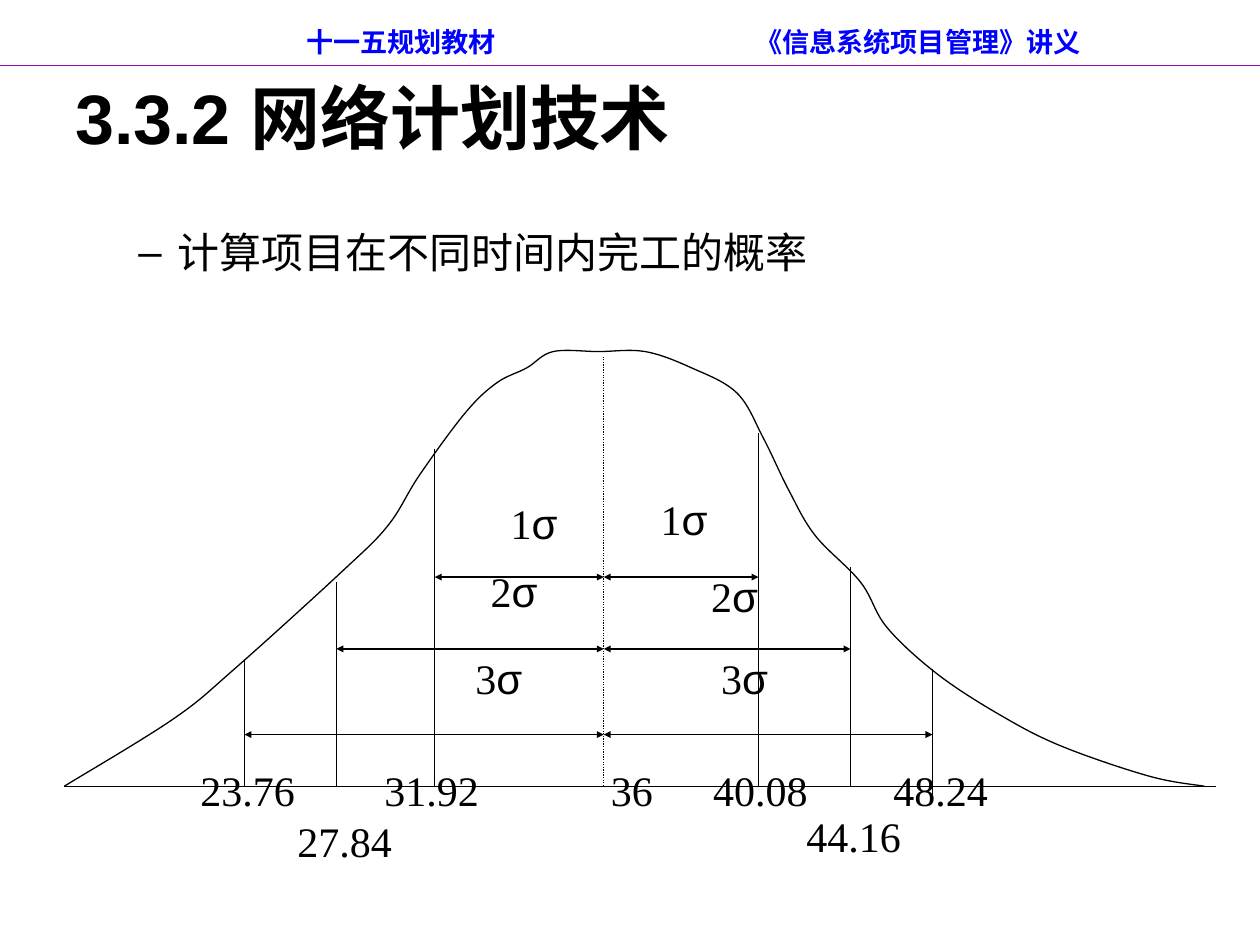
import itertools

import lxml.etree
import pptx
import pptx.dml.color
import pptx.enum.dml
import pptx.enum.text
import pptx.oxml.ns
import pptx.util

COLUMNS, ROWS = 100, 75
CELL = pptx.util.Inches(10) // COLUMNS
BLACK, BLUE, PURPLE = "000000", "0000FF", "9900CC"
LATIN, NUMERALS = "Arial", "Times New Roman"
MEAN, BASELINE = 47.92, 62.4
ALIGN = pptx.enum.text.PP_ALIGN
ANCHOR = pptx.enum.text.MSO_ANCHOR

BELL = [
    (5.1, 62.4), (13.7, 57.1), (18.6, 53.1), (27.1, 45.4), (30.8, 41.7),
    (33.3, 37.7), (36.9, 32.8), (39.4, 30.4), (41.8, 29.2), (43.9, 27.9),
    (47.5, 27.9), (51.2, 27.9), (54.9, 29.2), (58.5, 31.2), (60.6, 34.8),
    (62.6, 38.9), (64.7, 42.5), (68.3, 46.2), (70.4, 49.8), (74.4, 53.5),
    (79.3, 56.7), (84.2, 59.2), (91.2, 61.6), (95.6, 62.4),
]
LIMITS = [
    (34.5, 35.6, BASELINE), (26.7, 46.2, BASELINE), (19.4, 52.3, BASELINE),
    (60.2, 34.4, BASELINE), (67.5, 45, BASELINE), (74, 53.1, 63.2),
]
SPANS = [(45.8, 34.5, 60.2), (51.5, 26.7, 67.5), (58.3, 19.4, 74)]
SIGMA_LABELS = [
    ("1", 36.9, 39.2), ("1", 48.8, 38.9), ("2", 52.8, 45),
    ("3", 53.6, 51.5), ("2", 35.3, 44.6), ("3", 34.1, 51.5),
]
DAY_LABELS = [
    ("23.76", 12.9, 60.4), ("27.84", 20.6, 64.4), ("31.92", 27.5, 60.4),
    ("36", 43.4, 60.4), ("40.08", 53.6, 60.4), ("44.16", 61, 64),
    ("48.24", 67.9, 60.4),
]


def cells(count):
    return round(count * CELL)


def color(hex_value):
    return pptx.dml.color.RGBColor.from_string(hex_value)


def add_element(parent, tag, **attributes):
    return lxml.etree.SubElement(parent, pptx.oxml.ns.qn(tag), **attributes)


def style_line(line, hex_value):
    line.color.rgb = color(hex_value)
    line.width = pptx.util.Pt(0.75)


def add_line(shapes, start, end, hex_value=BLACK, arrows=False, dash=None):
    connector = shapes.add_connector(1, *map(cells, start + end))
    style_line(connector.line, hex_value)
    if dash:
        connector.line.dash_style = dash
    properties = connector._element.spPr
    if arrows:
        outline = properties.find(pptx.oxml.ns.qn("a:ln"))
        for tip in ("a:headEnd", "a:tailEnd"):
            add_element(outline, tip, type="triangle", w="sm", len="sm")
    add_element(properties, "a:effectLst")


def add_box(shapes, left, top, width, height, insets=(1, 0.5), anchor=ANCHOR.TOP):
    box = shapes.add_textbox(*map(cells, (left, top, width, height)))
    frame = box.text_frame
    frame.word_wrap = True
    frame.vertical_anchor = anchor
    frame.margin_left = frame.margin_right = cells(insets[0])
    frame.margin_top = frame.margin_bottom = cells(insets[1])
    return frame


def add_run(paragraph, text, size, font=LATIN, hex_value=BLACK, bold=False):
    run = paragraph.add_run()
    run.text = text
    run.font.size = pptx.util.Pt(size)
    run.font.name = font
    run.font.bold = bold
    run.font.color.rgb = color(hex_value)


def add_label(shapes, left, top, width, height, runs):
    paragraph = add_box(shapes, left, top, width, height, (0.6, 0.3)).paragraphs[0]
    paragraph.alignment = ALIGN.CENTER
    for text, font in runs:
        add_run(paragraph, text, 24, font)


def bend_segments(curve):
    segments = list(curve._element.iter(pptx.oxml.ns.qn("a:lnTo")))
    points = curve._element.iter(pptx.oxml.ns.qn("a:pt"))
    knots = [(int(point.get("x")), int(point.get("y"))) for point in points]
    padded = [knots[0], *knots, knots[-1]]
    windows = zip(padded, padded[1:], padded[2:], padded[3:])
    for segment, (before, start, end, after) in zip(segments, windows):
        leaving = [s + (e - b) / 6 for b, s, e in zip(before, start, end)]
        arriving = [e - (a - s) / 6 for s, e, a in zip(start, end, after)]
        bezier = segment.getparent().makeelement(pptx.oxml.ns.qn("a:cubicBezTo"))
        for x, y in (leaving, arriving, end):
            add_element(bezier, "a:pt", x=str(round(x)), y=str(round(y)))
        segment.getparent().replace(segment, bezier)


def add_bell(shapes):
    builder = shapes.build_freeform(*map(cells, BELL[0]))
    builder.add_line_segments(
        [tuple(map(cells, knot)) for knot in BELL[1:]], close=False
    )
    curve = builder.convert_to_shape()
    curve.shadow.inherit = False
    curve.fill.background()
    style_line(curve.line, BLACK)
    bend_segments(curve)


def add_header(shapes):
    frame = add_box(shapes, 10, 1.4, 90, 3.8, anchor=ANCHOR.MIDDLE)
    frame.margin_left = cells(14.3)
    paragraph = frame.paragraphs[0]
    tabs = add_element(paragraph._p.get_or_add_pPr(), "a:tabLst")
    add_element(tabs, "a:tab", pos=str(cells(35.65)), algn="l")
    add_run(paragraph, "十一五规划教材\t《信息系统项目管理》讲义", 15.5, LATIN, BLUE, True)


def add_title(shapes):
    frame = add_box(shapes, 5, 3, 90, 12.5, anchor=ANCHOR.MIDDLE)
    add_run(frame.paragraphs[0], "3.3.2 网络计划技术", 40, bold=True)


def add_bullet(shapes):
    paragraph = add_box(shapes, 5, 17.5, 90, 49.5).paragraphs[0]
    paragraph.alignment = ALIGN.JUSTIFY
    properties = paragraph._p.get_or_add_pPr()
    properties.set("marL", str(cells(8.1)))
    properties.set("indent", str(cells(-3.1)))
    add_element(add_element(properties, "a:buClr"), "a:srgbClr", val=BLACK)
    add_element(properties, "a:buFont", typeface=LATIN)
    add_element(properties, "a:buChar", char="–")
    add_run(paragraph, "计算项目在不同时间内完工的概率", 24)


def add_distribution(shapes):
    add_line(shapes, (5.1, BASELINE), (96.5, BASELINE))
    add_line(shapes, (MEAN, 28.3), (MEAN, BASELINE),
             dash=pptx.enum.dml.MSO_LINE.ROUND_DOT)
    add_bell(shapes)
    for column, top, bottom in LIMITS:
        add_line(shapes, (column, top), (column, bottom))
    for row, left, right in SPANS:
        for start, end in itertools.pairwise((left, MEAN, right)):
            add_line(shapes, (start, row), (end, row), arrows=True)
    for multiple, left, top in SIGMA_LABELS:
        add_label(shapes, left, top, 11, 7.7, [(multiple, NUMERALS), ("σ", LATIN)])
    for days, left, top in DAY_LABELS:
        add_label(shapes, left, top, 13.5, 8.5, [(days, NUMERALS)])


def main():
    presentation = pptx.Presentation()
    presentation.slide_width = cells(COLUMNS)
    presentation.slide_height = cells(ROWS)
    slide = presentation.slides.add_slide(presentation.slide_layouts[6])
    add_title(slide.shapes)
    add_bullet(slide.shapes)
    add_line(slide.shapes, (0, 5.2), (COLUMNS, 5.2), PURPLE)
    add_distribution(slide.shapes.add_group_shape().shapes)
    add_header(slide.shapes)
    presentation.save("out.pptx")


if __name__ == "__main__":
    main()
